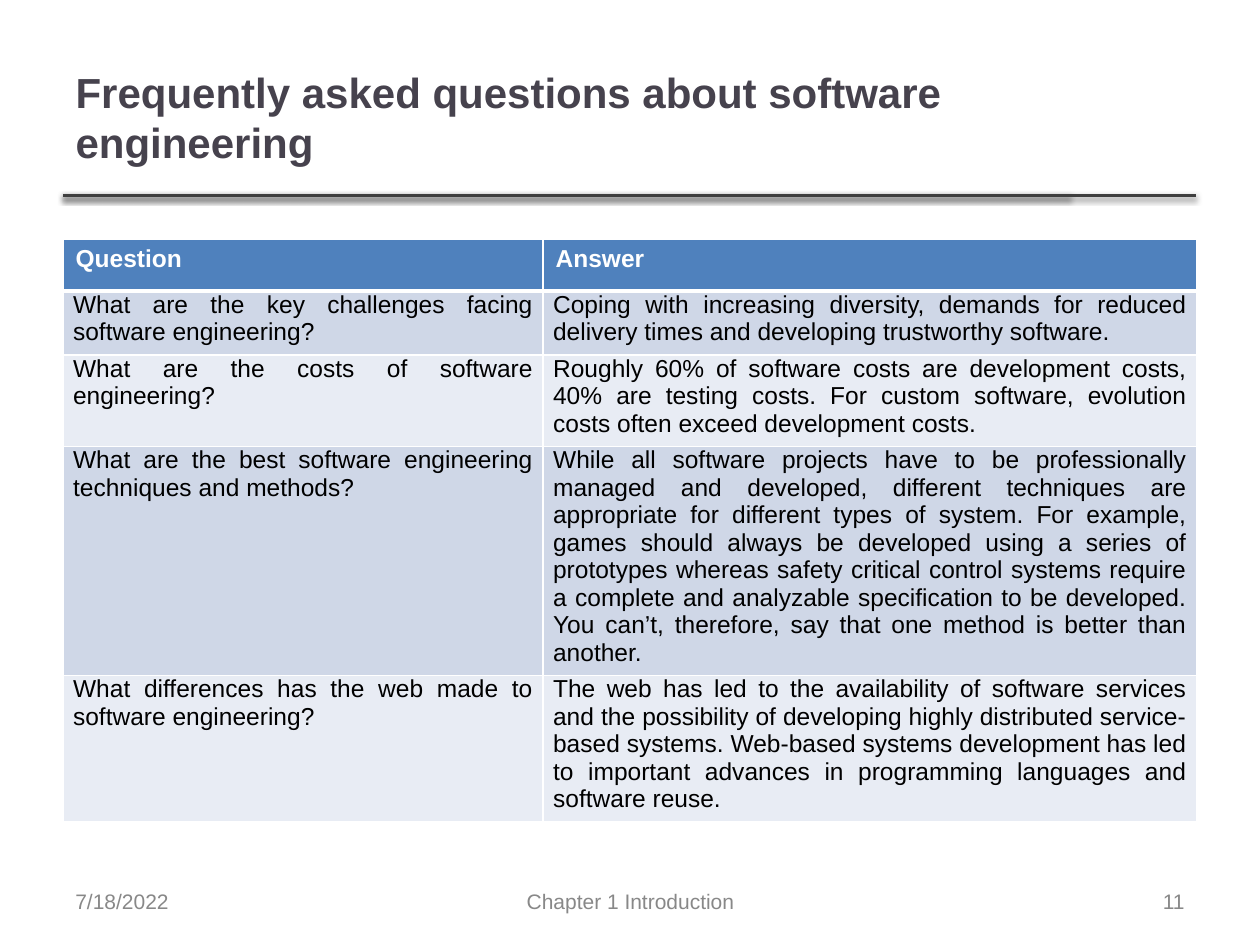
from lxml.etree import SubElement
from pptx import Presentation
from pptx.dml.color import RGBColor
from pptx.enum.shapes import MSO_CONNECTOR
from pptx.enum.text import MSO_ANCHOR, PP_ALIGN
from pptx.oxml import parse_xml
from pptx.oxml.ns import nsdecls, qn
from pptx.util import Inches, Pt

FONT = "Arial"
TITLE_COLOR = RGBColor(0x46, 0x42, 0x4D)
RULE_COLOR = RGBColor(0x3F, 0x3F, 0x3F)
FOOTER_COLOR = RGBColor(0x88, 0x88, 0x88)
HEADER_FILL = RGBColor(0x4F, 0x81, 0xBD)
BAND_FILLS = [RGBColor(0xE8, 0xEC, 0xF4), RGBColor(0xCF, 0xD7, 0xE7)]
WHITE = RGBColor(0xFF, 0xFF, 0xFF)
BLACK = RGBColor(0, 0, 0)

ROWS = [
    ("Question", "Answer"),
    ("What are the key challenges facing software engineering?",
     "Coping with increasing diversity, demands for reduced delivery times "
     "and developing trustworthy software."),
    ("What are the costs of software engineering?",
     "Roughly 60% of software costs are development costs, 40% are testing "
     "costs. For custom software, evolution costs often exceed development "
     "costs."),
    ("What are the best software engineering techniques and methods?",
     "While all software projects have to be professionally managed and "
     "developed, different techniques are appropriate for different types of "
     "system. For example, games should always be developed using a series of "
     "prototypes whereas safety critical control systems require a complete "
     "and analyzable specification to be developed. You can’t, therefore, say "
     "that one method is better than another."),
    ("What differences has the web made to software engineering?",
     "The web has led to the availability of software services and the "
     "possibility of developing highly distributed service-based systems. "
     "Web-based systems development has led to important advances in "
     "programming languages and software reuse."),
]


def style_text(para, size, color, bold=False, align=PP_ALIGN.LEFT):
    para.alignment = align
    para.font.name = FONT
    para.font.size = Pt(size)
    para.font.bold = bold
    para.font.color.rgb = color


def add_border(cell, side, points):
    line = SubElement(cell._tc.get_or_add_tcPr(), qn(f"a:ln{side}"),
                      w=str(Pt(points)))
    fill = SubElement(line, qn("a:solidFill"))
    SubElement(fill, qn("a:srgbClr"), val=str(WHITE))


deck = Presentation()
deck.slide_width = Inches(10)
deck.slide_height = Inches(7.5)
page = deck.slides.add_slide(deck.slide_layouts[5])

# Two overlapping rules under the title, each with a soft shadow
for end in (8.49, 9.49):
    rule = page.shapes.add_connector(MSO_CONNECTOR.STRAIGHT, Inches(0.5),
                                     Inches(1.55), Inches(end), Inches(1.55))
    rule.line.color.rgb = RULE_COLOR
    rule.line.width = Pt(2)
    rule._element.spPr.append(parse_xml(
        f'<a:effectLst {nsdecls("a")}>'
        f'<a:outerShdw blurRad="{Pt(3.1)}" dist="{Pt(1.6)}" dir="5400000" '
        'rotWithShape="0"><a:srgbClr val="000000"><a:alpha val="38000"/>'
        '</a:srgbClr></a:outerShdw></a:effectLst>'))

# Title
title = page.shapes.title
title.left, title.top = Inches(0.5), Inches(0.3)
title.width, title.height = Inches(7.98), Inches(1.25)
title.text_frame.text = "Frequently asked questions about software engineering"
title.text_frame.vertical_anchor = MSO_ANCHOR.MIDDLE
style_text(title.text_frame.paragraphs[0], 24, TITLE_COLOR, bold=True)

# Question and answer table; rows grow to fit their text
table = page.shapes.add_table(len(ROWS), 2, Inches(0.5), Inches(1.9),
                              Inches(9), Inches(0.41 * len(ROWS))).table
table.columns[0].width = Inches(3.81)
table.columns[1].width = Inches(5.19)
for row_index, texts in enumerate(ROWS):
    is_header = row_index == 0
    for column_index, text in enumerate(texts):
        cell = table.cell(row_index, column_index)
        cell.text = text
        para = cell.text_frame.paragraphs[0]
        for side in "LRTB":
            heavy = (is_header and side == "B") or (row_index == 1 and side == "T")
            add_border(cell, side, 3 if heavy else 1)
        cell.fill.solid()
        if is_header:
            cell.fill.fore_color.rgb = HEADER_FILL
            style_text(para, 14, WHITE, bold=True)
        else:
            cell.fill.fore_color.rgb = BAND_FILLS[row_index % 2]
            cell.margin_left = cell.margin_right = Inches(0.08)
            cell.margin_top, cell.margin_bottom = Inches(0), Inches(0.07)
            style_text(para, 14, BLACK, align=PP_ALIGN.JUSTIFY)

# Footer: chapter, date and page number
for text, left, width, align in [
    ("Chapter 1 Introduction", 3.42, 3.17, PP_ALIGN.CENTER),
    ("7/18/2022", 0.5, 2.33, PP_ALIGN.LEFT),
    ("11", 7.17, 2.33, PP_ALIGN.RIGHT),
]:
    box = page.shapes.add_textbox(Inches(left), Inches(6.95), Inches(width),
                                  Inches(0.4))
    box.text_frame.word_wrap = True
    box.text_frame.vertical_anchor = MSO_ANCHOR.MIDDLE
    box.text_frame.text = text
    style_text(box.text_frame.paragraphs[0], 12, FOOTER_COLOR, align=align)

deck.save("out.pptx")
